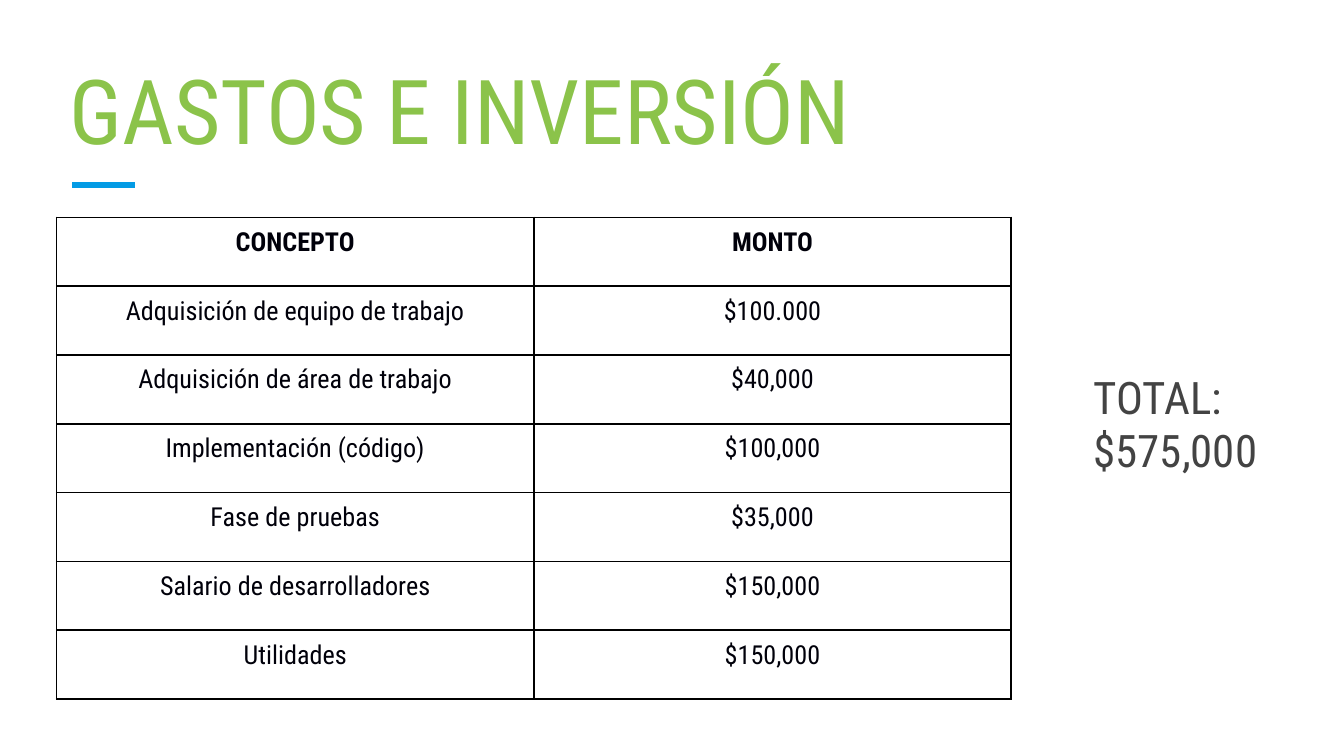
"""Build the expenses and investment slide."""
from dataclasses import dataclass

from lxml import etree
from pptx import Presentation
from pptx.dml.color import RGBColor
from pptx.enum.shapes import MSO_CONNECTOR
from pptx.enum.text import MSO_ANCHOR, PP_ALIGN
from pptx.oxml.ns import qn
from pptx.util import Cm, Pt

STRAIGHT = MSO_CONNECTOR.STRAIGHT
TOP = MSO_ANCHOR.TOP
LEFT, CENTER = PP_ALIGN.LEFT, PP_ALIGN.CENTER

EXPENSES = [
    ("CONCEPTO", "MONTO"),
    ("Adquisición de equipo de trabajo", "$100.000"),
    ("Adquisición de área de trabajo", "$40,000"),
    ("Implementación (código)", "$100,000"),
    ("Fase de pruebas", "$35,000"),
    ("Salario de desarrolladores", "$150,000"),
    ("Utilidades", "$150,000"),
]


@dataclass(frozen=True)
class Theme:
    """Colours, font and type sizes of the slide."""

    font: str = "Roboto Condensed"
    title: str = "8BC34A"
    accent: str = "039BE5"
    ink: str = "00000A"
    border: str = "000000"
    total: str = "434343"
    title_size: int = 48
    total_size: int = 24
    cell_size: int = 14


def write(tf, text, *, font, size, color, bold=False, align=LEFT, inset=0.25):
    """Fill a text frame, one paragraph for each line of text."""
    tf.word_wrap = True
    tf.margin_left = tf.margin_right = tf.margin_top = tf.margin_bottom = Cm(inset)
    for i, line in enumerate(text.split("\n")):
        p = tf.add_paragraph() if i else tf.paragraphs[0]
        p.alignment = align
        r = p.add_run()
        r.text = line
        r.font.name = font
        r.font.size = Pt(size)
        r.font.bold = bold
        r.font.color.rgb = RGBColor.from_string(color)


class SlideBuilder:
    """Draw styled elements on the current slide."""

    def __init__(self, s, theme):
        """Keep the slide and its theme."""
        self.s = s
        self.theme = theme

    def text(self, x, y, w, h, text, size, color):
        """Add a text box."""
        sp = self.s.shapes.add_textbox(Cm(x), Cm(y), Cm(w), Cm(h))
        sp.text_frame.vertical_anchor = TOP
        write(sp.text_frame, text, font=self.theme.font, size=size, color=color)

    def rule(self, x1, x2, y, width):
        """Add a horizontal accent line."""
        line = self.s.shapes.add_connector(STRAIGHT, Cm(x1), Cm(y), Cm(x2), Cm(y))
        line.line.color.rgb = RGBColor.from_string(self.theme.accent)
        line.line.width = Pt(width)
        etree.SubElement(line._element.spPr, qn("a:effectLst"))

    def border(self, cell, width):
        """Outline all four sides of a table cell."""
        tc_pr = cell._tc.get_or_add_tcPr()
        for i, side in enumerate(("a:lnL", "a:lnR", "a:lnT", "a:lnB")):
            ln = etree.Element(qn(side), w=str(Pt(width)))
            fill = etree.SubElement(ln, qn("a:solidFill"))
            etree.SubElement(fill, qn("a:srgbClr"), val=self.theme.border)
            tc_pr.insert(i, ln)

    def table(self, x, y, col_w, row_h, rows):
        """Add a bordered table with a bold first row."""
        n_rows, n_cols = len(rows), len(rows[0])
        table = self.s.shapes.add_table(
            n_rows, n_cols, Cm(x), Cm(y), Cm(col_w * n_cols), Cm(row_h * n_rows)
        ).table
        table.first_row = table.horz_banding = False
        for i, row in enumerate(rows):
            for j, value in enumerate(row):
                cell = table.cell(i, j)
                cell.fill.background()
                self.border(cell, 1)
                write(cell.text_frame, value, font=self.theme.font,
                      size=self.theme.cell_size, color=self.theme.ink,
                      bold=i == 0, align=CENTER, inset=0.18)
                cell.margin_left = cell.margin_right = Cm(0.18)
                cell.margin_top = cell.margin_bottom = Cm(0.18)


def main():
    """Build and save the presentation."""
    prs = Presentation()
    prs.slide_width, prs.slide_height = Cm(25.4), Cm(14.29)
    theme = Theme()
    slide = SlideBuilder(prs.slides.add_slide(prs.slide_layouts[6]), theme)
    slide.rule(1.37, 2.55, 3.5, 3)
    slide.text(1.07, 0.79, 23.24, 3.48, "GASTOS E INVERSIÓN",
               theme.title_size, theme.title)
    slide.table(1.07, 4.11, 9.02, 1.3, EXPENSES)
    slide.text(20.42, 6.73, 4.09, 3.05, "TOTAL:\n$575,000",
               theme.total_size, theme.total)
    prs.save("out.pptx")


if __name__ == "__main__":
    main()
